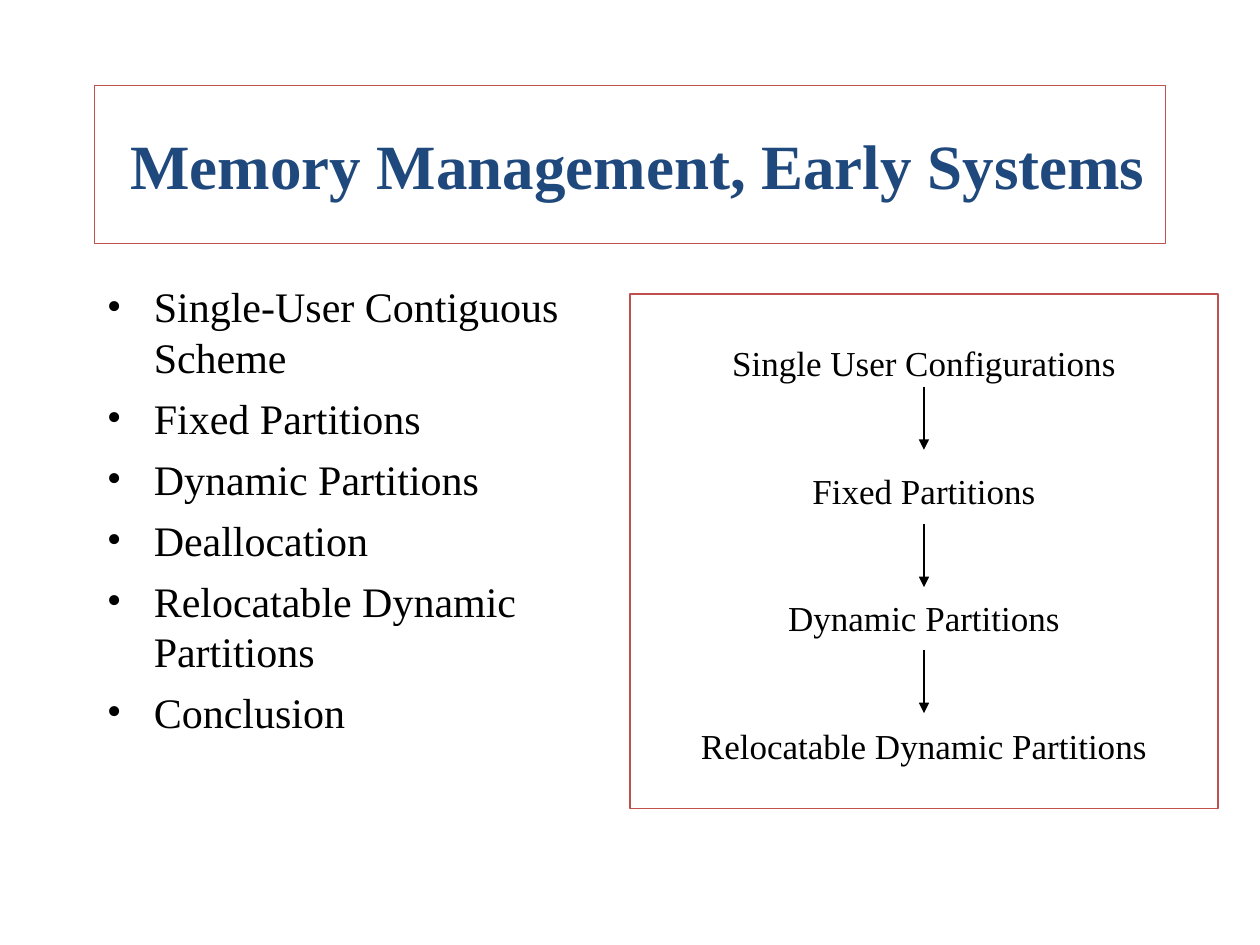
from lxml import etree
from pptx import Presentation
from pptx.dml.color import RGBColor
from pptx.enum.shapes import MSO_CONNECTOR, MSO_SHAPE
from pptx.enum.text import MSO_ANCHOR, MSO_AUTO_SIZE, PP_ALIGN
from pptx.oxml.ns import qn
from pptx.util import Pt

RECT = MSO_SHAPE.RECTANGLE
STRAIGHT = MSO_CONNECTOR.STRAIGHT
TOP, MIDDLE = MSO_ANCHOR.TOP, MSO_ANCHOR.MIDDLE
LEFT, CENTER = PP_ALIGN.LEFT, PP_ALIGN.CENTER
NO_FIT = MSO_AUTO_SIZE.NONE
FONT, BLACK, RED, NAVY = "Times New Roman", "000000", "C0504D", "1F497D"


def rgb(value):
    return RGBColor.from_string(value)


def write(sp, lines, size, color=BLACK, bold=False, align=LEFT,
          anchor=TOP, gap=0, bullet_indent=0):
    tf = sp.text_frame
    tf.word_wrap = True
    tf.auto_size = NO_FIT
    tf.vertical_anchor = anchor
    for i, line in enumerate(lines):
        p = tf.paragraphs[0] if i == 0 else tf.add_paragraph()
        p.alignment = align
        p.space_before = Pt(gap if i else 0)
        if bullet_indent:
            pPr = p._p.get_or_add_pPr()
            pPr.set("marL", str(Pt(bullet_indent)))
            pPr.set("indent", str(-Pt(bullet_indent)))
            etree.SubElement(pPr, qn("a:buFont")).set("typeface", FONT)
            etree.SubElement(pPr, qn("a:buChar")).set("char", "•")
        r = p.add_run()
        r.text = line
        r.font.name = FONT
        r.font.size = Pt(size)
        r.font.bold = bold
        r.font.color.rgb = rgb(color)


prs = Presentation()
prs.slide_width, prs.slide_height = Pt(720), Pt(540)
s = prs.slides.add_slide(prs.slide_layouts[5])

title = s.shapes.title
title.left, title.top, title.width, title.height = Pt(54), Pt(49), Pt(612), Pt(90)
title.line.color.rgb = rgb(RED)
title.line.width = Pt(0.75)
title.text_frame.margin_left = Pt(16)
write(title, ["Memory Management, Early Systems"], 36, color=NAVY, bold=True,
      align=CENTER, anchor=MIDDLE)

topics = s.shapes.add_textbox(Pt(54), Pt(157), Pt(300), Pt(324))
write(topics, ["Single-User Contiguous Scheme", "Fixed Partitions",
               "Dynamic Partitions", "Deallocation",
               "Relocatable Dynamic Partitions", "Conclusion"],
      24, gap=6, bullet_indent=26.8)

frame = s.shapes.add_shape(RECT, Pt(360), Pt(168), Pt(336), Pt(294))
frame.shadow.inherit = False
frame.fill.background()
frame.line.color.rgb = rgb(RED)
frame.line.width = Pt(0.75)

steps = s.shapes.add_textbox(Pt(381), Pt(191.5), Pt(294), Pt(250.5))
write(steps, ["Single User Configurations", "Fixed Partitions",
              "Dynamic Partitions", "Relocatable Dynamic Partitions"],
      20, align=CENTER, gap=49)

for top in (221, 299.5, 371.5):
    arrow = s.shapes.add_connector(STRAIGHT, Pt(528), Pt(top), Pt(528), Pt(top + 36))
    arrow.line.color.rgb = rgb(BLACK)
    arrow.line.width = Pt(0.75)
    etree.SubElement(arrow.line._get_or_add_ln(), qn("a:tailEnd")).set("type", "triangle")
    etree.SubElement(arrow._element.spPr, qn("a:effectLst"))

prs.save("out.pptx")
